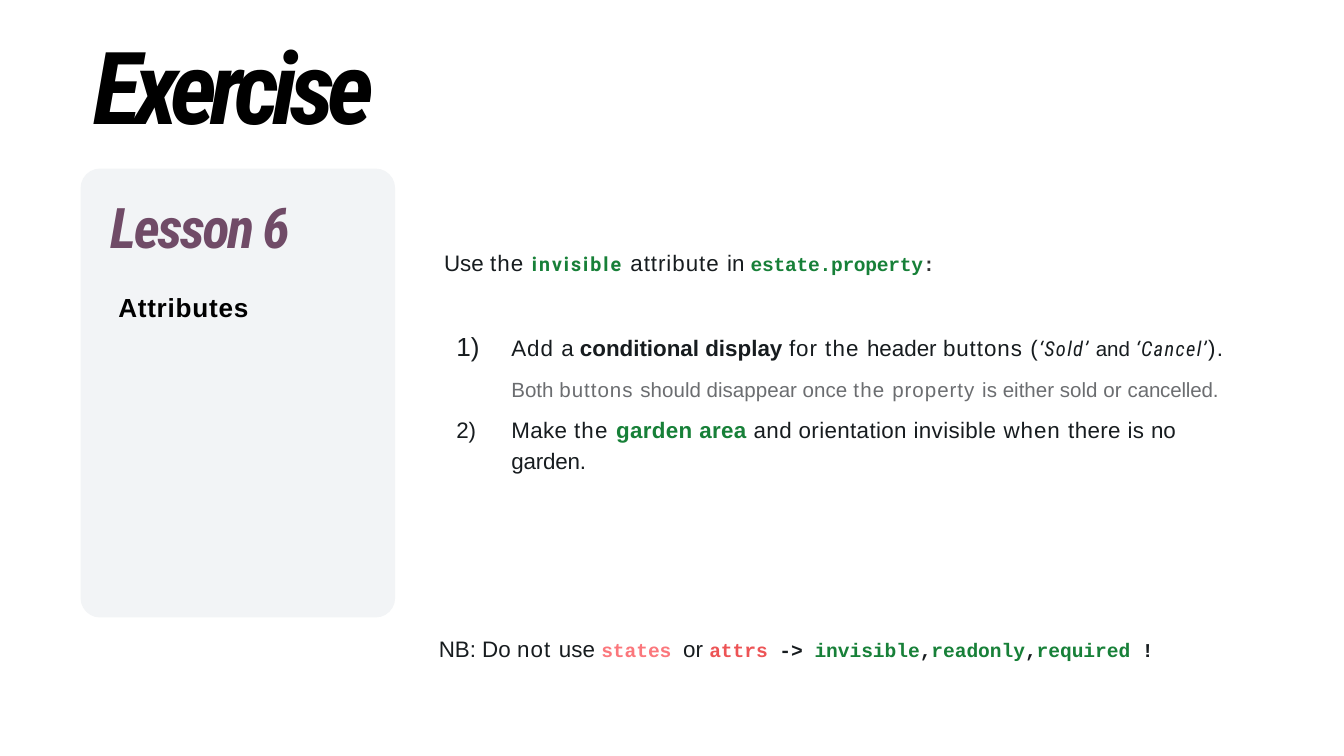
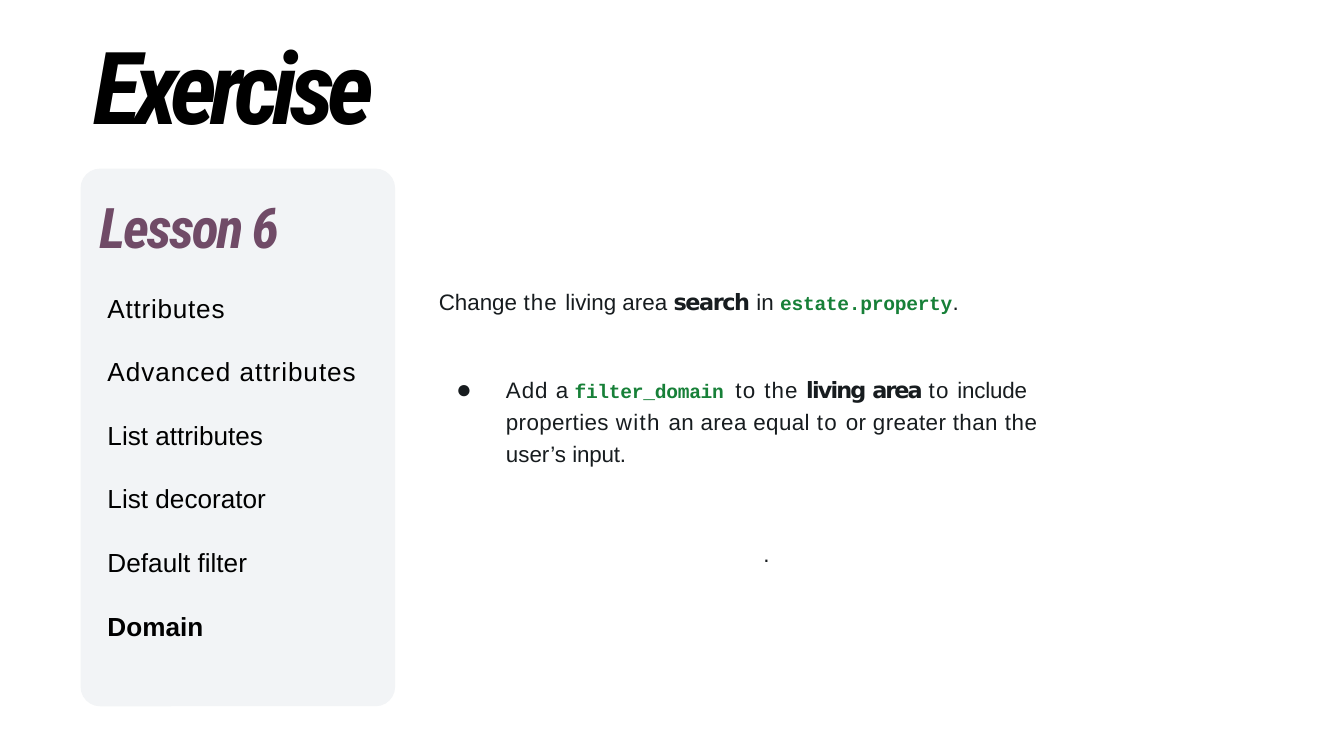
"""Build the two Lesson 6 exercise slides on a grid of 100 columns."""
from lxml import etree
from pptx import Presentation, util as u
from pptx.dml.color import RGBColor
from pptx.enum import shapes, text
from pptx.oxml.ns import qn

COLORS = {
    "ink": "171C1F", "black": "000000", "plum": "704B67", "green": "178038",
    "gray": "6B6D70", "charcoal": "333333", "rose": "FB777C", "red": "ED5456",
    "card": "F2F4F6",
}
BODY = {"name": "Arial", "size": u.Pt(12), "bold": False, "italic": False, "color": "ink"}
CODE = BODY | {"name": "Courier New", "size": u.Pt(10.5), "bold": True}
HEADING = BODY | {"name": "Roboto Condensed", "bold": True, "italic": True}
TOPIC = BODY | {"size": u.Pt(14), "color": "black"}
STYLES = {
    "body": BODY,
    "strong": BODY | {"bold": True},
    "strong green": BODY | {"bold": True, "color": "green"},
    "wide strong": BODY | {"name": "DejaVu Sans", "bold": True},
    "attribute": BODY | {"name": "Roboto", "size": u.Pt(10.5), "bold": True, "color": "green"},
    "quote": BODY | {"name": "Roboto Condensed", "size": u.Pt(11), "italic": True},
    "quote joint": BODY | {"size": u.Pt(11)},
    "hint": BODY | {"size": u.Pt(11), "color": "gray"},
    "code": CODE,
    "code green": CODE | {"color": "green"},
    "code charcoal": CODE | {"color": "charcoal"},
    "code rose": CODE | {"color": "rose"},
    "code red": CODE | {"color": "red"},
    "title": HEADING | {"size": u.Pt(54), "color": "black"},
    "lesson": HEADING | {"size": u.Pt(30), "color": "plum"},
    "topic": TOPIC,
    "current topic": TOPIC | {"bold": True},
}

deck = Presentation()
deck.slide_width = u.Inches(10)
deck.slide_height = deck.slide_width * 9 // 16
CELL = deck.slide_width / 100


def cells(*counts):
    """Turn grid counts into lengths."""
    return [u.Emu(round(count * CELL)) for count in counts]


def write(box, paragraphs, top=0.13):
    """Fill a box with (format, runs) paragraphs, each run being (text, style, tracking)."""
    frame = box.text_frame
    frame_format = {
        "word_wrap": True, "auto_size": text.MSO_AUTO_SIZE.NONE,
        "vertical_anchor": text.MSO_ANCHOR.TOP, "margin_left": 0, "margin_right": 0,
        "margin_top": cells(top)[0], "margin_bottom": 0,
    }
    for key, value in frame_format.items():
        setattr(frame, key, value)
    for index, (layout, runs) in enumerate(paragraphs):
        paragraph = frame.add_paragraph() if index else frame.paragraphs[0]
        paragraph.alignment = text.PP_ALIGN.LEFT
        props = paragraph._p.get_or_add_pPr()
        margin, hanging = cells(layout.get("left", 0.1), layout.get("hanging", 0))
        props.set("marL", str(margin))
        props.set("indent", str(-hanging))
        for tag, values in layout.get("bullet", {}).items():
            etree.SubElement(props, qn(tag), values)
        if hanging:
            tabs = etree.SubElement(props, qn("a:tabLst"))
            etree.SubElement(tabs, qn("a:tab"), {"pos": str(margin), "algn": "l"})
        for key in ("line_spacing", "space_before"):
            if key in layout:
                setattr(paragraph, key, layout[key])
        for words, style, tracking in runs:
            run = paragraph.add_run()
            run.text = words
            for key, value in STYLES[style].items():
                if key == "color":
                    run.font.color.rgb = RGBColor.from_string(COLORS[value])
                else:
                    setattr(run.font, key, value)
            run._r.get_or_add_rPr().set("spc", str(round(tracking * 100)))


LARGE = {"a:buSzPct": {"val": "117000"}}
FIRST = LARGE | {"a:buFont": {"typeface": "Arial"}, "a:buAutoNum": {"type": "arabicParenR"}}
SECOND = {"a:buFont": {"typeface": "Arial"}, "a:buAutoNum": {"type": "arabicParenR", "startAt": "2"}}
DOT = LARGE | {"a:buFont": {"typeface": "Arial"}, "a:buChar": {"char": "●"}}
STEP = {"left": 4.2, "hanging": 4.1}

invisible_task = [({}, [
    ("Use ", "body", 0), ("the ", "body", 0.6), ("invisible ", "attribute", 1.1),
    ("attribute ", "body", 0.5), ("in ", "body", 0),
    ("estate.property", "code green", -0.1), (":", "code charcoal", -0.1),
])]
invisible_steps = [
    (STEP | {"bullet": FIRST, "line_spacing": u.Pt(15.8)}, [
        ("Add ", "body", 0.5), ("a ", "body", 0), ("conditional display ", "strong", 0),
        ("for ", "body", 0.5), ("the ", "body", 0.6), ("header ", "body", 0),
        ("buttons ", "body", 0.5), ("(", "body", 0.7), ("‘Sold’ ", "quote", 0.7),
        ("and ", "quote joint", 0), ("‘Cancel’", "quote", 0.7), (").", "body", 0.7),
    ]),
    ({"left": 4.2, "space_before": u.Pt(8.6)}, [
        ("Both ", "hint", 0), ("buttons ", "hint", 0.5),
        ("should disappear once ", "hint", 0), ("the ", "hint", 0.6),
        ("property ", "hint", 0.5), ("is either sold or ", "hint", 0),
        ("cancelled.", "hint", -0.1),
    ]),
    (STEP | {"bullet": SECOND, "line_spacing": 1.15, "space_before": u.Pt(5.8)}, [
        ("Make ", "body", 0.2), ("the ", "body", 0.6), ("garden area ", "strong green", 0.2),
        ("and orientation invisible ", "body", 0.2), ("when ", "body", 0.5),
        ("there is ", "body", 0.2), ("no ", "body", -0.2), ("garden.", "body", -0.1),
    ]),
]
warning = [({}, [
    ("NB: Do ", "body", 0), ("not ", "body", 0.6), ("use ", "body", 0),
    ("states ", "code rose", 0), ("or ", "body", 0), ("attrs ", "code red", 0),
    ("-> ", "code", 0), ("invisible", "code green", 0), (",", "code", 0),
    ("readonly", "code green", 0), (",", "code", 0), ("required ", "code green", 0),
    ("!", "code", -0.5),
])]
search_task = [({}, [
    ("Change ", "body", 0), ("the ", "body", 0.6), ("living area ", "body", 0),
    ("search ", "wide strong", -0.8), ("in ", "body", 0),
    ("estate.property", "code green", -0.1), (".", "body", -0.1),
])]
search_step = [({"left": 3.8, "hanging": 3.7, "bullet": DOT, "line_spacing": 1.18}, [
    ("Add ", "body", 0.5), ("a ", "body", 0), ("filter_domain ", "code green", -0.1),
    ("to ", "body", 0.7), ("the ", "body", 0.6), ("living ", "wide strong", -1),
    ("area ", "wide strong", -1.1), ("to ", "body", 0.7), ("include ", "body", -0.1),
    ("properties ", "body", 0.2), ("with ", "body", 0.7), ("an area equal ", "body", 0.2),
    ("to ", "body", 0.7), ("or greater than ", "body", 0.2), ("the ", "body", 0.3),
    ("user’s ", "body", 0), ("input.", "body", -0.1),
])]
full_stop = [({}, [(".", "body", -0.5)])]

exercises = [
    {
        "card height": 33.3,
        "outline": (8.1, 14.2, 20.5, 10),
        "topics": [("Attributes", "current topic", 0.4)],
        "topic format": {"left": 0.7, "space_before": u.Pt(17.2)},
        "content": [
            ((32.95, 18.4, 37.6, 2.3), 0.13, invisible_task),
            ((33.85, 24.6, 59.3, 10.8), 0.07, invisible_steps),
            ((32.55, 47.1, 54, 2.3), 0.13, warning),
        ],
    },
    {
        "card height": 39.9,
        "outline": (7.3, 14.2, 21.3, 33.8),
        "topics": [
            ("Attributes", "topic", 0.4), ("Advanced attributes", "topic", 0.5),
            ("List attributes", "topic", 0), ("List decorator", "topic", 0),
            ("Default filter", "topic", 0), ("Domain", "current topic", 0),
        ],
        "topic format": {"left": 0.7, "line_spacing": 1.88, "space_before": u.Pt(2.5)},
        "content": [
            ((32.55, 21.3, 39.8, 2.2), 0.13, search_task),
            ((33.85, 27.4, 44.3, 7.3), 0.25, search_step),
            ((56.7, 40, 0.7, 2.3), 0.2, full_stop),
        ],
    },
]

for exercise in exercises:
    slide = deck.slides.add_slide(deck.slide_layouts[5])
    title = slide.shapes.title
    title.left, title.top, title.width, title.height = cells(1.95, 1.6, 33.7, 9.7)
    write(title, [({"left": 5}, [("Exercise", "title", -3.8)])], 0.2)

    card = slide.shapes.add_shape(
        shapes.MSO_SHAPE.ROUNDED_RECTANGLE, *cells(6.05, 12.6, 23.3, exercise["card height"]))
    card.adjustments[0] = 0.06
    card.shadow.inherit = False
    card.fill.solid()
    card.line.width = u.Pt(0.75)
    for paint in (card.fill.fore_color, card.line.color):
        paint.rgb = RGBColor.from_string(COLORS["card"])

    lesson = [({}, [("Lesson 6", "lesson", -1.2)])]
    lesson += [(exercise["topic format"], [topic]) for topic in exercise["topics"]]
    write(slide.shapes.add_textbox(*cells(*exercise["outline"])), lesson)
    for place, top, paragraphs in exercise["content"]:
        write(slide.shapes.add_textbox(*cells(*place)), paragraphs, top)

deck.save("out.pptx")
